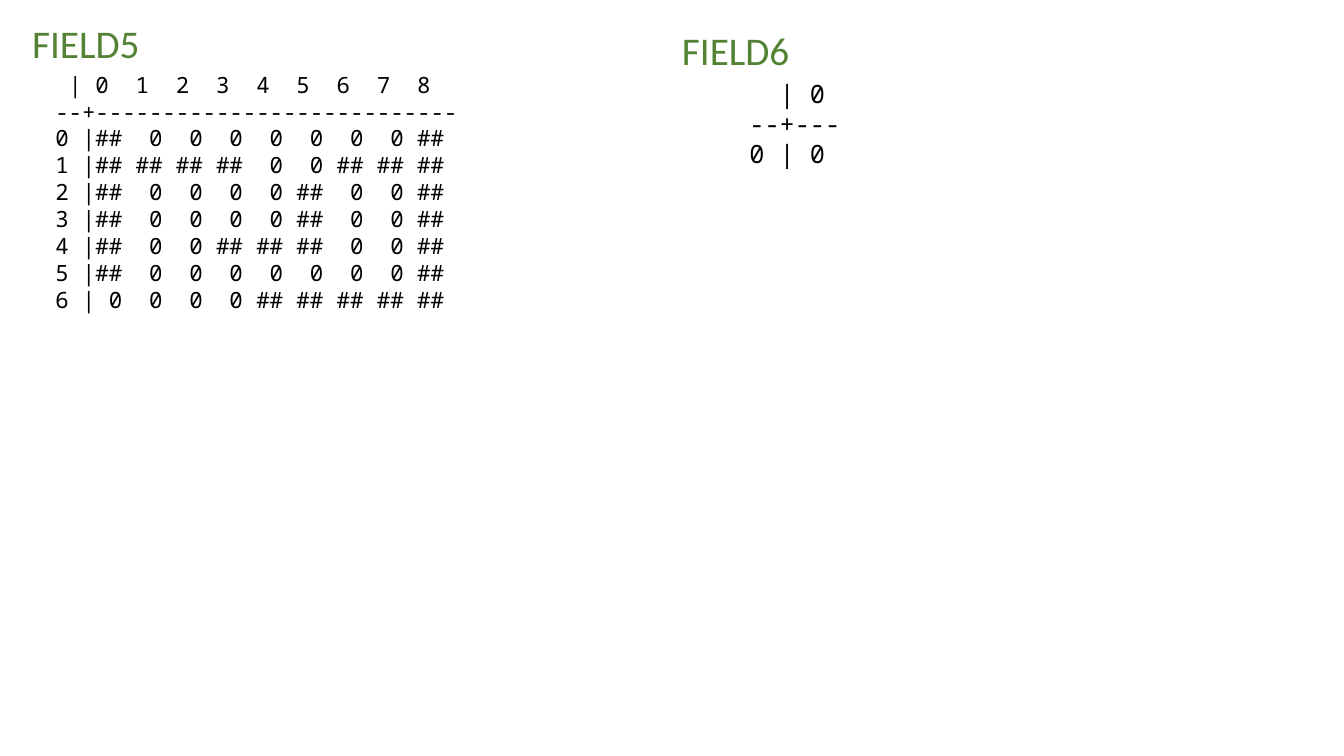
import pptx
import pptx.util
import pptx.dml.color
import pptx.enum.text

W, H = 13.33, 7.5
COLORS = {"title": "548235", "text": "000000", "paper": "FFFFFF"}
TITLE = {"name": "Calibri", "size": pptx.util.Pt(28)}
GRID = {"name": "Noto Sans Mono"}

FIELD5 = [
    " | 0  1  2  3  4  5  6  7  8 ",
    "--+---------------------------",
    "0 |##  0  0  0  0  0  0  0 ##",
    "1 |## ## ## ##  0  0 ## ## ##",
    "2 |##  0  0  0  0 ##  0  0 ##",
    "3 |##  0  0  0  0 ##  0  0 ##",
    "4 |##  0  0 ## ## ##  0  0 ##",
    "5 |##  0  0  0  0  0  0  0 ##",
    "6 | 0  0  0  0 ## ## ## ## ##",
]
FIELD6 = ["  | 0 ", "--+---", "0 | 0"]


def rgb(key):
    return pptx.dml.color.RGBColor.from_string(COLORS[key])


def add_text(s, box, lines, fmt, color, wrap):
    """Place a text box with one paragraph per line."""
    sp = s.shapes.add_textbox(*(pptx.util.Inches(v) for v in box))
    tf = sp.text_frame
    tf.word_wrap = wrap
    tf.auto_size = pptx.enum.text.MSO_AUTO_SIZE.SHAPE_TO_FIT_TEXT
    for i, line in enumerate(lines):
        p = tf.paragraphs[0] if i == 0 else tf.add_paragraph()
        r = p.add_run()
        r.text = line
        r.font.color.rgb = rgb(color)
        for name, value in fmt.items():
            setattr(r.font, name, value)
    return sp


def add_field(s, box, title, lines, indent, width, size):
    """Title at the box corner, its character grid indented below."""
    left, top, title_w, title_h = box
    sp = add_text(s, box, [title], TITLE, "title", False)
    sp.fill.solid()
    sp.fill.fore_color.rgb = rgb("paper")
    fmt = {**GRID, "size": pptx.util.Pt(size)}
    grid_h = 0.1 + len(lines) * size * 1.21 / 72
    grid_box = (left + indent, top + 0.9 * title_h, width, grid_h)
    add_text(s, grid_box, lines, fmt, "text", True)


prs = pptx.Presentation()
prs.slide_width, prs.slide_height = pptx.util.Inches(W), pptx.util.Inches(H)
s = prs.slides.add_slide(prs.slide_layouts[6])

# Left field: 7 by 9 grid; right field: single cell
add_field(s, (0.22, 0.14, 1.28, 0.57), "FIELD5", FIELD5, 0.23, W / 2, 16)
add_field(s, (W / 2, 0.21, 1.28, 0.57), "FIELD6", FIELD6, 0.67, 1.77, 18)

prs.save("out.pptx")
